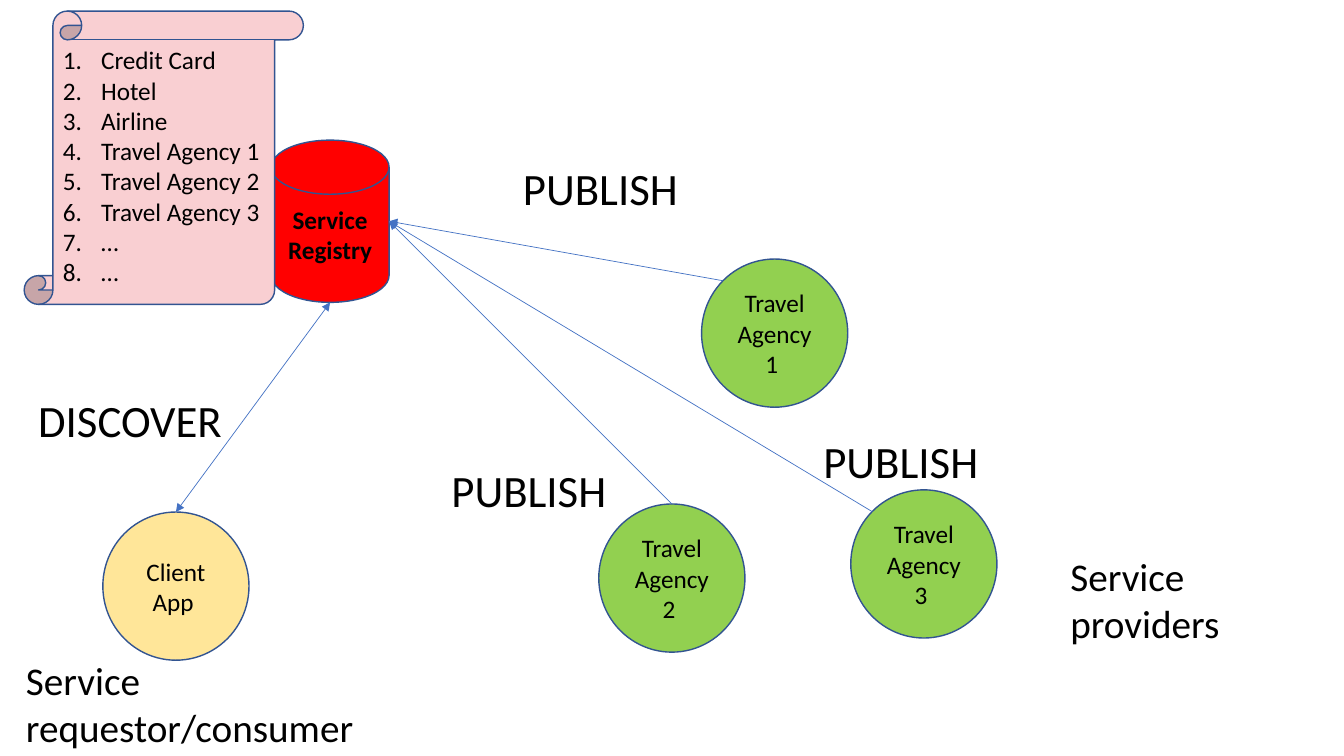
from math import sqrt

from lxml import etree
from pptx import Presentation
from pptx.dml.color import RGBColor
from pptx.enum.shapes import MSO_CONNECTOR, MSO_SHAPE
from pptx.enum.text import MSO_ANCHOR, MSO_AUTO_SIZE, PP_ALIGN
from pptx.oxml.ns import qn
from pptx.util import Inches, Pt

CIRCLE = MSO_SHAPE.FLOWCHART_CONNECTOR
DISK = MSO_SHAPE.FLOWCHART_MAGNETIC_DISK
SCROLL = MSO_SHAPE.VERTICAL_SCROLL
STRAIGHT = MSO_CONNECTOR.STRAIGHT
CENTER, LEFT = PP_ALIGN.CENTER, PP_ALIGN.LEFT
MIDDLE, TOP = MSO_ANCHOR.MIDDLE, MSO_ANCHOR.TOP
FIT_SHAPE = MSO_AUTO_SIZE.SHAPE_TO_FIT_TEXT

BLACK = RGBColor(0x00, 0x00, 0x00)
GREEN = RGBColor(0x92, 0xD0, 0x50)
YELLOW = RGBColor(0xFF, 0xE6, 0x99)
RED = RGBColor(0xFF, 0x00, 0x00)
PINK = RGBColor(0xF9, 0xCF, 0xD2)
OUTLINE = RGBColor(0x32, 0x54, 0x91)
ARROW = RGBColor(0x44, 0x72, 0xC4)

COLUMNS, ROWS = 133.33, 75
CELL = Inches(0.1)
CIRCLE_SIZE = (14.5, 14.7)
LABEL_HEIGHT, NOTE_HEIGHT = 6.4, 10.4
BLANK_LAYOUT = 6


def cells(*counts):
    """Convert counts of grid cells to slide lengths."""
    return [round(count * CELL) for count in counts]


def write(frame, lines, size=18, bold=False, align=LEFT, numbered=False):
    """Fill a text frame with one paragraph for each line."""
    frame.word_wrap = True
    for index, line in enumerate(lines):
        para = frame.add_paragraph() if index else frame.paragraphs[0]
        para.alignment = align
        span = para.add_run()
        span.text = line
        span.font.name = "Calibri"
        span.font.size = Pt(size)
        span.font.bold = bold
        span.font.color.rgb = BLACK
        if numbered:
            props = para._p.get_or_add_pPr()
            indent = Inches(0.38)
            props.set("marL", str(indent))
            props.set("indent", str(-indent))
            etree.SubElement(props, qn("a:buFont"), typeface="+mj-lt")
            etree.SubElement(props, qn("a:buAutoNum"), type="arabicPeriod")


def top_of(box):
    return box.left + box.width // 2, box.top


def bottom_of(box):
    return box.left + box.width // 2, box.top + box.height


def right_of(box):
    return box.left + box.width, box.top + box.height // 2


def upper_left_of(circle):
    """Return the point on the rim at 45 degrees."""
    inset = (1 - sqrt(0.5)) / 2
    return (round(circle.left + circle.width * inset),
            round(circle.top + circle.height * inset))


class Diagram:
    def __init__(self, page):
        self.page = page

    def shape(self, kind, place, fill, lines, anchor=MIDDLE, align=CENTER, **style):
        box = self.page.shapes.add_shape(kind, *cells(*place))
        box.shadow.inherit = False
        box.fill.solid()
        box.fill.fore_color.rgb = fill
        box.line.color.rgb = OUTLINE
        box.line.width = Pt(1)
        box.text_frame.vertical_anchor = anchor
        write(box.text_frame, lines, align=align, **style)
        return box

    def circle(self, left, top, fill, text):
        return self.shape(CIRCLE, (left, top, *CIRCLE_SIZE), fill, [text])

    def label(self, place, text, size):
        box = self.page.shapes.add_textbox(*cells(*place))
        write(box.text_frame, [text], size=size)
        box.text_frame.auto_size = FIT_SHAPE

    def arrow(self, start, end, both_ends=False):
        link = self.page.shapes.add_connector(STRAIGHT, *start, *end)
        link.line.color.rgb = ARROW
        link.line.width = Pt(0.5)
        outline = link.line._get_or_add_ln()
        if both_ends:
            etree.SubElement(outline, qn("a:headEnd"), type="triangle")
        etree.SubElement(outline, qn("a:tailEnd"), type="triangle")
        etree.SubElement(link._element.spPr, qn("a:effectLst"))


def main():
    deck = Presentation()
    deck.slide_width, deck.slide_height = cells(COLUMNS, ROWS)
    diagram = Diagram(deck.slides.add_slide(deck.slide_layouts[BLANK_LAYOUT]))

    agency_places = [(69.6, 25.7), (59.4, 50), (84.4, 48.6)]
    agencies = [diagram.circle(left, top, GREEN, f"Travel Agency {number} ")
                for number, (left, top) in enumerate(agency_places, 1)]
    registry = diagram.shape(DISK, (26.9, 13.9, 11.7, 16.1), RED,
                             ["Service Registry"], bold=True)
    first, second, third = agencies
    for start in (upper_left_of(first), top_of(second), upper_left_of(third)):
        diagram.arrow(start, right_of(registry))

    services = ["Credit Card", "Hotel", "Airline"]
    services += [f"Travel Agency {number}" for number in (1, 2, 3)] + ["…", "…"]
    scroll = diagram.shape(SCROLL, (2.4, 1.1, 27.7, 29.1), PINK, services,
                           anchor=TOP, align=LEFT, numbered=True)
    scroll.adjustments[0] = 0.103

    client = diagram.circle(10.2, 50.8, YELLOW, "Client App ")
    diagram.arrow(top_of(client), bottom_of(registry), both_ends=True)

    for left, top in [(50.9, 15.5), (80.7, 42.5), (43.8, 45.4)]:
        diagram.label((left, top, 19.4, LABEL_HEIGHT), "PUBLISH", 32)
    diagram.label((2.8, 38.5, 21.9, LABEL_HEIGHT), "DISCOVER", 32)
    diagram.label((105.2, 54.3, 25.3, NOTE_HEIGHT), "Service providers", 28)
    diagram.label((1.6, 64.6, 38.6, NOTE_HEIGHT), "Service requestor/consumer", 28)

    deck.save("out.pptx")


if __name__ == "__main__":
    main()
